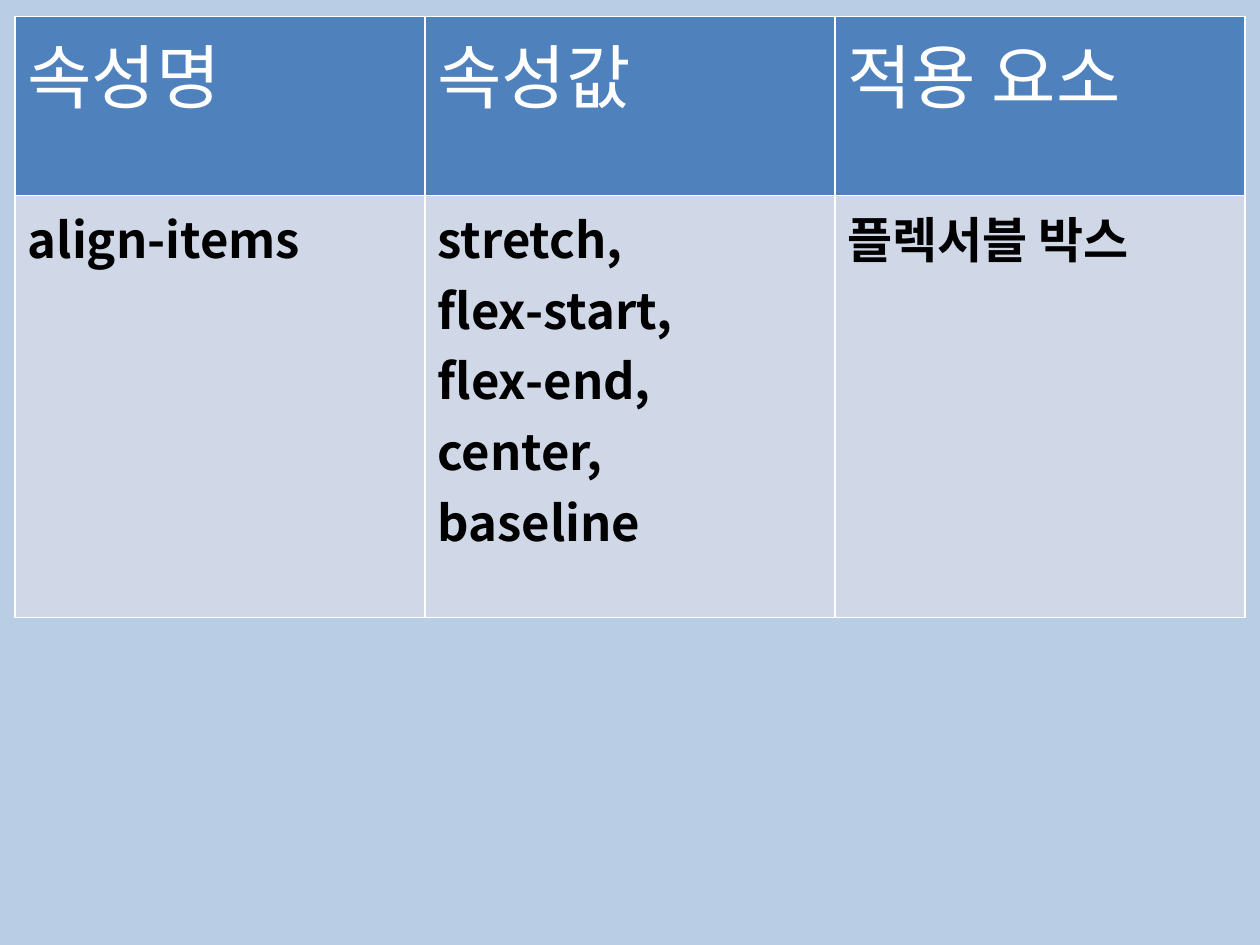
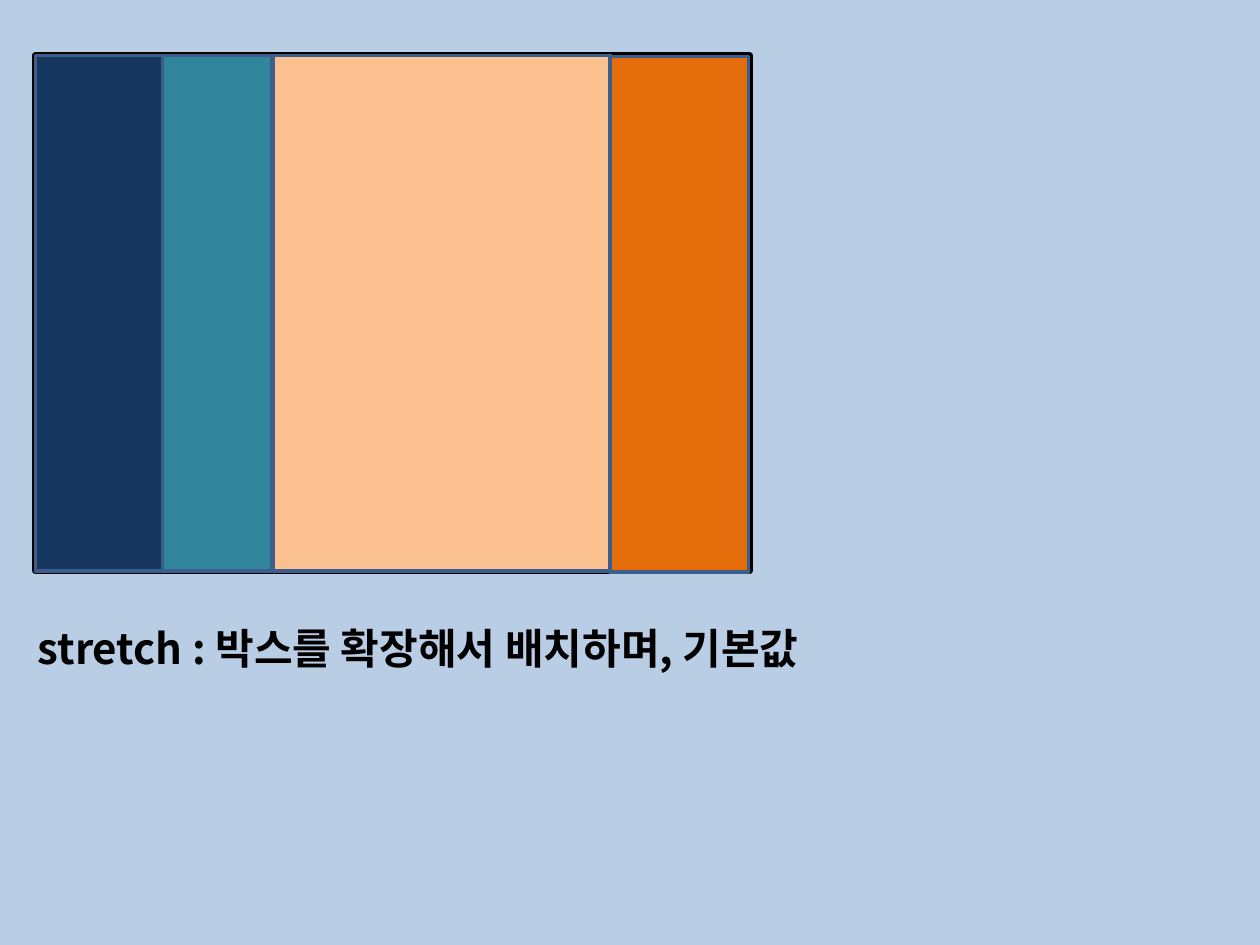
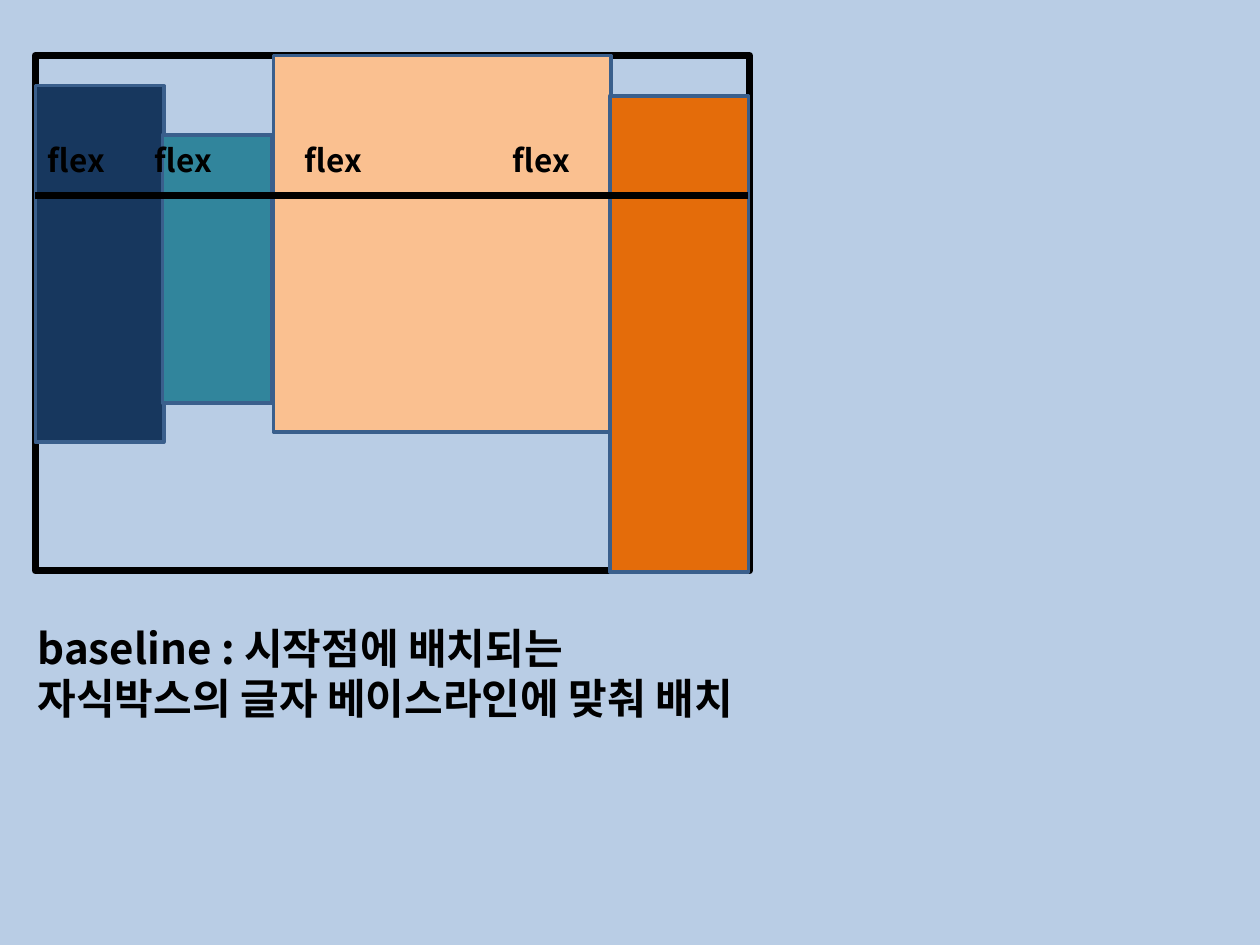
import pptx
import pptx.dml.color
import pptx.enum.shapes
import pptx.enum.text
import pptx.oxml
import pptx.oxml.ns
import pptx.util
from pptx.util import Inches

BLACK, WHITE = "000000", "FFFFFF"
BACKGROUND = "B9CDE5"
HEADER_FILL, BODY_FILL = "4F81BD", "D0D8E8"
BOX_LINE = "3A5F8C"
FONT = "Noto Sans CJK KR"
NS = pptx.oxml.ns.nsdecls("a")

HEADER_TEXT = {"size": 40, "bold": False, "color": WHITE}
BODY_TEXT = {"size": 28, "bold": True, "color": BLACK}
CAPTION_TEXT = {"size": 24, "bold": True, "color": BLACK}
LABEL_TEXT = {"size": 18, "bold": True, "color": BLACK}

FRAME = (0.28, 0.44, 5.67, 4.09)
# left, width and fill of each flex item
ITEMS = [
    (0.28, 1.02, "17375E"),
    (1.29, 0.87, "31859C"),
    (2.17, 2.68, "FAC090"),
    (4.84, 1.1, "E46C0A"),
]


def rgb(value):
    return pptx.dml.color.RGBColor.from_string(value)


class Deck:
    """Holds the presentation, its style and the current slide."""

    def __init__(self):
        self.prs = pptx.Presentation()
        self.prs.slide_width, self.prs.slide_height = Inches(10), Inches(7.5)
        self.s = None

    def slide(self):
        self.s = self.prs.slides.add_slide(self.prs.slide_layouts[6])
        fill = self.s.background.fill
        fill.solid()
        fill.fore_color.rgb = rgb(BACKGROUND)

    def paragraphs(self, tf, lines, style, tabs=()):
        """Fill a text frame with one paragraph per line; tabs are in inches."""
        for i, line in enumerate(lines):
            p = tf.paragraphs[0] if i == 0 else tf.add_paragraph()
            if tabs:
                stops = "".join(f'<a:tab pos="{Inches(t)}" algn="l"/>' for t in tabs)
                p._p.get_or_add_pPr().append(
                    pptx.oxml.parse_xml(f"<a:tabLst {NS}>{stops}</a:tabLst>"))
            r = p.add_run()
            r.text = line
            values = {"name": FONT, "size": pptx.util.Pt(style["size"]), "bold": style["bold"]}
            for name, value in values.items():
                setattr(r.font, name, value)
            r.font.color.rgb = rgb(style["color"])
            r._r.get_or_add_rPr().append(
                pptx.oxml.parse_xml(f'<a:ea {NS} typeface="{FONT}"/>'))

    def text(self, at, lines, style, tabs=()):
        tf = self.s.shapes.add_textbox(*map(Inches, at)).text_frame
        tf.word_wrap = True
        tf.auto_size = pptx.enum.text.MSO_AUTO_SIZE.SHAPE_TO_FIT_TEXT
        self.paragraphs(tf, lines, style, tabs)

    def rect(self, at, line, width, fill=None):
        sp = self.s.shapes.add_shape(pptx.enum.shapes.MSO_SHAPE.RECTANGLE, *map(Inches, at))
        sp.shadow.inherit = False
        sp.line.color.rgb = rgb(line)
        sp.line.width = pptx.util.Pt(width)
        if fill:
            sp.fill.solid()
            sp.fill.fore_color.rgb = rgb(fill)
        else:
            sp.fill.background()

    def line(self, start, end, color, width):
        kind = pptx.enum.shapes.MSO_CONNECTOR.STRAIGHT
        cxn = self.s.shapes.add_connector(kind, *map(Inches, start + end))
        cxn.line.color.rgb = rgb(color)
        cxn.line.width = pptx.util.Pt(width)
        cxn._element.spPr.append(pptx.oxml.parse_xml(f"<a:effectLst {NS}/>"))

    def cell(self, cell, lines, style, fill):
        self.paragraphs(cell.text_frame, lines, style)
        tcPr = cell._tc.get_or_add_tcPr()
        for side in "LRTB":
            tcPr.append(pptx.oxml.parse_xml(
                f'<a:ln{side} {NS} w="{pptx.util.Pt(1)}"><a:solidFill>'
                f'<a:srgbClr val="{WHITE}"/></a:solidFill></a:ln{side}>'))
        cell.fill.solid()
        cell.fill.fore_color.rgb = rgb(fill)

    def table(self, at, heights, rows):
        """Draw a table whose first row is the header; a cell is a list of lines."""
        frame = self.s.shapes.add_table(len(rows), len(rows[0]), *map(Inches, at))
        for i, row in enumerate(rows):
            frame.table.rows[i].height = Inches(heights[i])
            style, fill = (BODY_TEXT, BODY_FILL) if i else (HEADER_TEXT, HEADER_FILL)
            for j, lines in enumerate(row):
                self.cell(frame.table.cell(i, j), lines, style, fill)

    def flex_box(self, spans, caption, width):
        """Draw the frame, the caption and the items; spans give top and height."""
        self.rect(FRAME, BLACK, 4)
        self.text((0.2, 4.89, width, 0.5 * len(caption)), caption, CAPTION_TEXT)
        for (left, item_width, fill), (top, height) in zip(ITEMS, spans):
            self.rect((left, top, item_width, height), BOX_LINE, 2, fill)


def main():
    deck = Deck()

    deck.slide()
    deck.table((0.12, 0.13, 9.76, 4.77), (1.42, 3.35), [
        [["속성명"], ["속성값"], ["적용 요소"]],
        [["align-items"],
         ["stretch,", "flex-start,", "flex-end,", "center,", "baseline"],
         ["플렉서블 박스"]],
    ])

    deck.slide()
    deck.flex_box([(0.44, 4.09)] * 3 + [(0.45, 4.09)],
                  ["stretch : 박스를 확장해서 배치하며, 기본값"], 7.95)

    deck.slide()
    deck.flex_box([(0.68, 2.83), (1.07, 2.13), (0.44, 2.99), (0.76, 3.78)],
                  ["baseline : 시작점에 배치되는", "자식박스의 글자 베이스라인에 맞춰 배치"], 9.61)
    deck.line((0.28, 1.55), (5.94, 1.55), BLACK, 4)
    deck.text((0.28, 1.07, 5.75, 0.4), ["\t".join(["flex"] * len(ITEMS))],
              LABEL_TEXT, tabs=(0.85, 2.04, 3.69))

    deck.prs.save("out.pptx")


if __name__ == "__main__":
    main()
